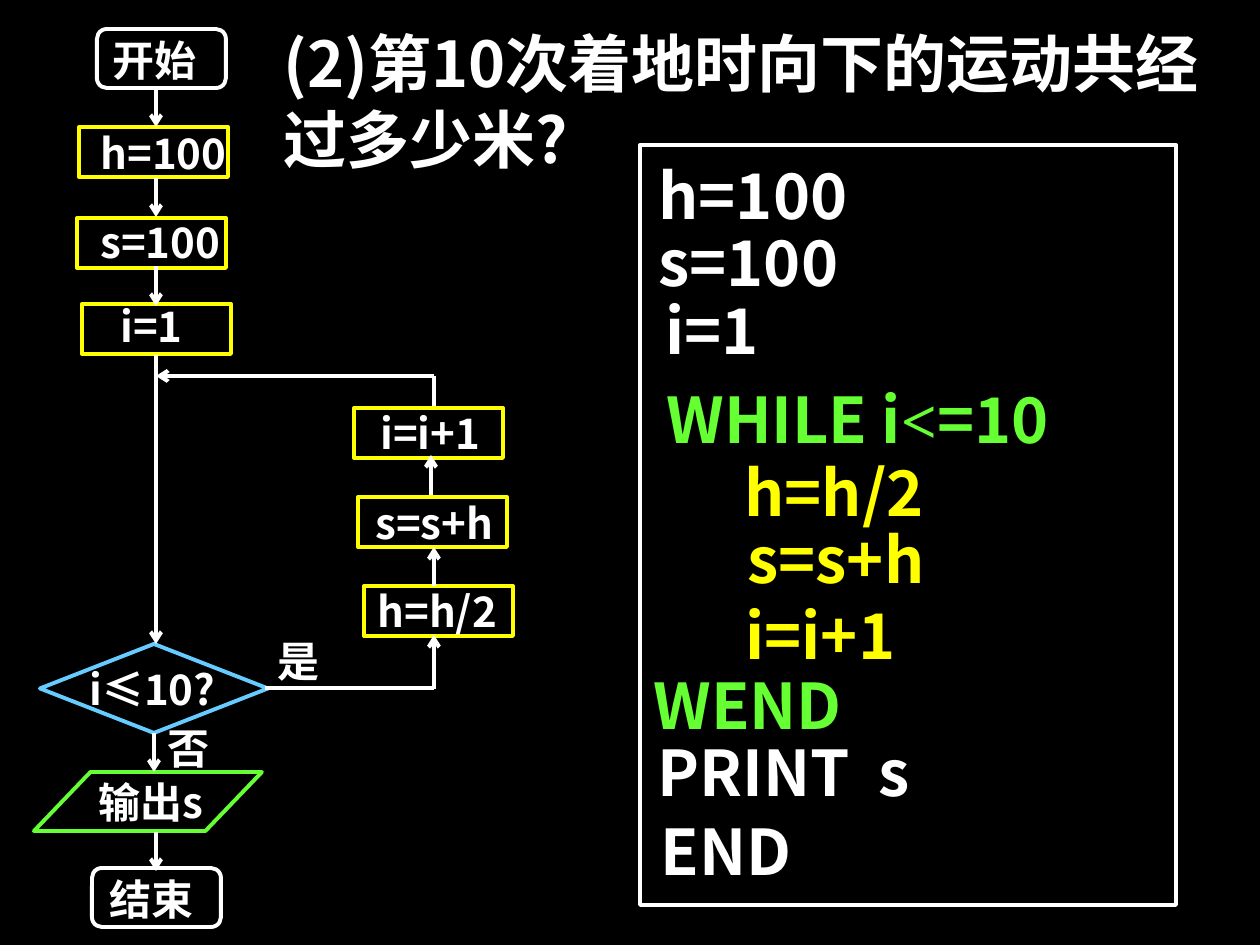
from dataclasses import dataclass

from lxml.etree import SubElement
from pptx import Presentation
from pptx.dml.color import RGBColor
from pptx.enum.shapes import MSO_CONNECTOR, MSO_SHAPE
from pptx.enum.text import MSO_AUTO_SIZE
from pptx.oxml.ns import qn
from pptx.util import Emu, Pt

EMU_PER_PX = 914400 / 126
WHITE = RGBColor(0xFF, 0xFF, 0xFF)
BLACK = RGBColor(0x00, 0x00, 0x00)
YELLOW = RGBColor(0xFF, 0xFF, 0x00)
GREEN = RGBColor(0x66, 0xFF, 0x33)
BLUE = RGBColor(0x66, 0xCC, 0xFF)
SANS = "Noto Sans CJK SC"
LATIN = "Arial"
SERIF = "Times New Roman"
LINE_WIDTH = Pt(2.25)
LABEL_SIZE, CODE_SIZE = 24, 36


@dataclass(frozen=True)
class Outline:
    kind: MSO_SHAPE
    left: int
    top: int
    width: int
    height: int
    color: RGBColor
    adjustment: float | None = None


@dataclass(frozen=True)
class Label:
    runs: tuple[tuple[str, str], ...]  # (text, font name)
    left: int
    top: int
    width: int
    size: int = LABEL_SIZE
    color: RGBColor = WHITE
    lines: int = 1


@dataclass(frozen=True)
class Flow:
    start: tuple[int, int]
    end: tuple[int, int]
    arrow: bool = True


def px(length: int) -> Emu:
    return Emu(round(length * EMU_PER_PX))


def process(left: int, top: int) -> Outline:
    return Outline(MSO_SHAPE.RECTANGLE, left, top, 149, 50, YELLOW)


def terminal(left: int, top: int) -> Outline:
    return Outline(MSO_SHAPE.ROUNDED_RECTANGLE, left, top, 129, 59, WHITE, 0.167)


def label(text: str, left: int, top: int, width: int = 159, font: str = SANS) -> Label:
    return Label(((text, font),), left, top, width)


def code(text: str, left: int, top: int, width: int = 348, color: RGBColor = WHITE) -> Label:
    return Label(((text, SANS),), left, top, width, CODE_SIZE, color)


def draw_outline(slide, outline: Outline) -> None:
    shape = slide.shapes.add_shape(
        outline.kind, px(outline.left), px(outline.top), px(outline.width), px(outline.height))
    if outline.adjustment is not None:
        shape.adjustments[0] = outline.adjustment
    shape.shadow.inherit = False
    shape.fill.background()
    shape.line.color.rgb = outline.color
    shape.line.width = LINE_WIDTH


def draw_label(slide, item: Label) -> None:
    line_height = item.size * 1.2
    height = round(line_height * item.lines * 126 / 72) + 12
    box = slide.shapes.add_textbox(px(item.left), px(item.top), px(item.width), px(height))
    frame = box.text_frame
    frame.word_wrap = True
    frame.auto_size = MSO_AUTO_SIZE.SHAPE_TO_FIT_TEXT
    # Tight line spacing lifts the glyphs, so the insets lower them again
    drop = item.size // 6
    frame.margin_top, frame.margin_bottom = px(6 + drop), px(6 - drop)
    paragraph = frame.paragraphs[0]
    paragraph.line_spacing = Pt(line_height)
    for text, font_name in item.runs:
        run = paragraph.add_run()
        run.text = text
        run.font.name = font_name
        run.font.size = Pt(item.size)
        run.font.bold = True
        run.font.color.rgb = item.color
        SubElement(run.font._element, qn("a:ea"), typeface=SANS)


def draw_flow(slide, flow: Flow) -> None:
    connector = slide.shapes.add_connector(
        MSO_CONNECTOR.STRAIGHT, *map(px, flow.start), *map(px, flow.end))
    connector.line.color.rgb = WHITE
    connector.line.width = LINE_WIDTH
    if flow.arrow:
        SubElement(connector.line._get_or_add_ln(), qn("a:tailEnd"), type="arrow")
    SubElement(connector._element.spPr, qn("a:effectLst"))


TITLE = Label((("(2)第10次着地时向下的运动共经过多少米?", SANS),), 271, 13, 955, CODE_SIZE, lines=2)

OUTLINES = [
    terminal(97, 29),
    process(79, 127),
    process(77, 218),
    process(82, 304),
    Outline(MSO_SHAPE.DIAMOND, 40, 644, 228, 89, BLUE),
    Outline(MSO_SHAPE.PARALLELOGRAM, 34, 772, 228, 59, GREEN, 0.958),
    terminal(92, 868),
    # Loop body
    process(364, 586),
    process(358, 497),
    process(354, 408),
    # Program frame
    Outline(MSO_SHAPE.RECTANGLE, 640, 145, 536, 760, WHITE),
]

FLOWS = [
    # Main column
    Flow((156, 88), (156, 127)),
    Flow((156, 178), (156, 217)),
    Flow((156, 266), (156, 306)),
    Flow((156, 355), (156, 644)),
    Flow((154, 733), (154, 772)),
    Flow((156, 832), (156, 871)),
    # Loop and return
    Flow((265, 688), (434, 688), arrow=False),
    Flow((434, 689), (434, 635)),
    Flow((434, 586), (434, 547)),
    Flow((431, 495), (431, 455)),
    Flow((434, 406), (434, 376), arrow=False),
    Flow((434, 376), (156, 376)),
]

FLOWCHART_LABELS = [
    label("开始", 100, 25, font=LATIN),
    label("h=100", 88, 117),
    label("s=100", 88, 207),
    label("i=1", 108, 291, 110),
    label("i≤10?", 77, 654),
    label("是", 265, 626, 89, LATIN),
    label("否", 155, 713, 59, LATIN),
    label("输出s", 86, 766),
    label("结束", 97, 864, 139, LATIN),
    label("h=h/2", 365, 576),
    label("s=s+h", 363, 488),
    label("i=i+1", 368, 398),
]

PROGRAM = [
    code("h=100", 646, 145),
    code("s=100", 646, 212),
    code("i=1", 653, 280, 258),
    Label((("WHILE i", SANS), ("<", SERIF), ("=10", SANS)), 654, 369, 456, CODE_SIZE, GREEN),
    code("h=h/2", 732, 442, color=YELLOW),
    code("s=s+h", 735, 509, color=YELLOW),
    code("i=i+1", 733, 585, color=YELLOW),
    code("WEND", 641, 655, color=GREEN),
    code("PRINT  s", 645, 722),
    code("END", 648, 801, 198),
]


def main() -> None:
    presentation = Presentation()
    presentation.slide_width, presentation.slide_height = px(1260), px(945)
    slide = presentation.slides.add_slide(presentation.slide_layouts[6])
    slide.background.fill.solid()
    slide.background.fill.fore_color.rgb = BLACK

    for outline in OUTLINES:
        draw_outline(slide, outline)
    for flow in FLOWS:
        draw_flow(slide, flow)
    for item in [TITLE, *FLOWCHART_LABELS, *PROGRAM]:
        draw_label(slide, item)

    presentation.save("out.pptx")


if __name__ == "__main__":
    main()
